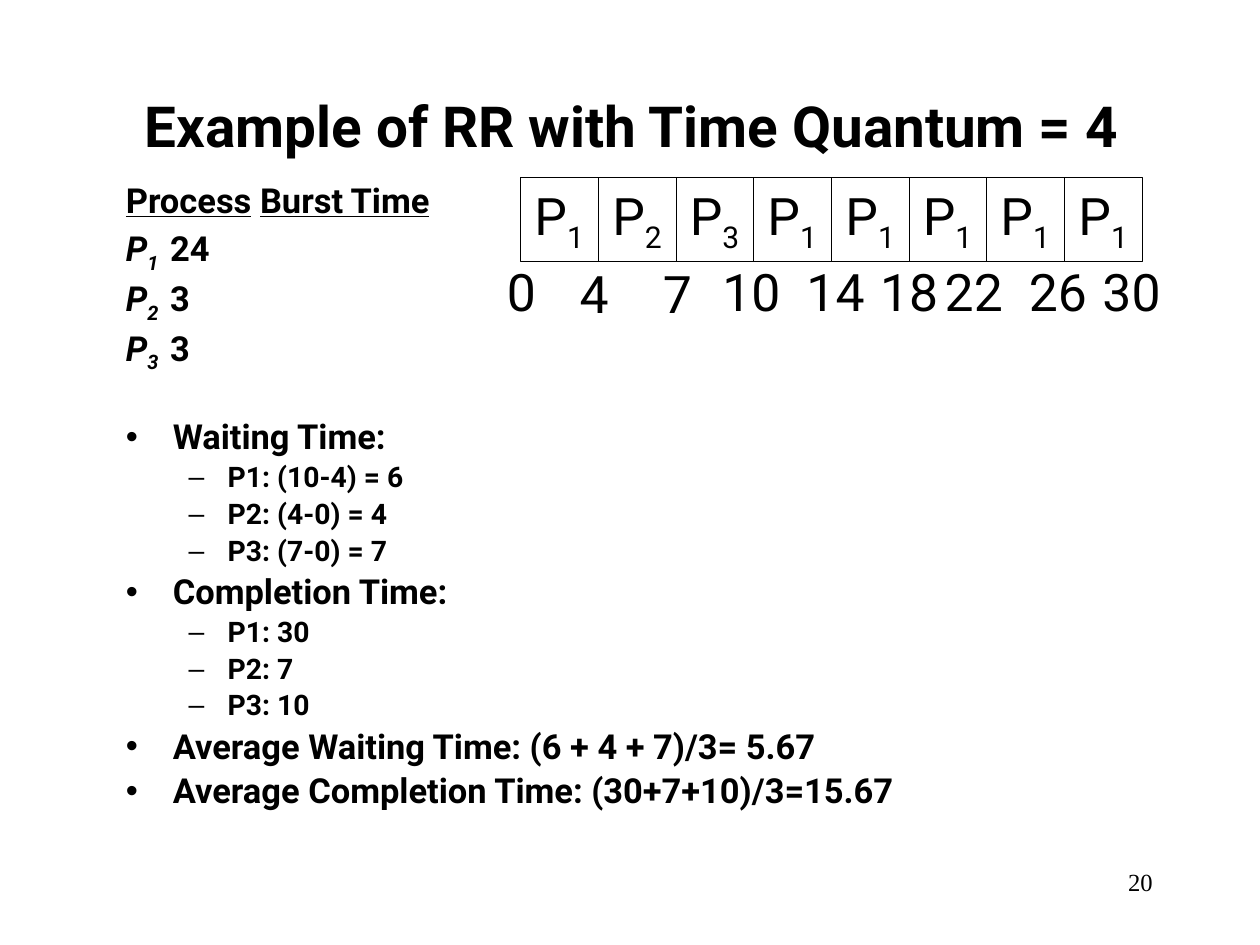
from dataclasses import dataclass

from lxml.etree import SubElement
from pptx import Presentation
from pptx.dml.color import RGBColor
from pptx.enum.shapes import MSO_SHAPE
from pptx.enum.text import MSO_ANCHOR as Anchor, MSO_AUTO_SIZE as AutoSize, PP_ALIGN as Align
from pptx.oxml.ns import qn
from pptx.util import Pt

PX = 9144


@dataclass(frozen=True)
class Theme:
    ink: RGBColor = RGBColor(0, 0, 0)
    paper: RGBColor = RGBColor(255, 255, 255)
    font: str = "Roboto"
    number_font: str = "Times New Roman"
    title_size: int = 46
    body_size: int = 28
    detail_size: int = 23
    chart_size: int = 42
    number_size: int = 20


THEME = Theme()
BURST_TIMES = [("1", "24"), ("2", "3"), ("3", "3")]
RESULTS = [
    (0, "Waiting Time:"),
    (1, "P1: (10-4) = 6"),
    (1, "P2: (4-0) = 4"),
    (1, "P3: (7-0) = 7"),
    (0, "Completion Time:"),
    (1, "P1: 30"),
    (1, "P2: 7"),
    (1, "P3: 10"),
    (0, "Average Waiting Time: (6 + 4 + 7)/3= 5.67"),
    (0, "Average Completion Time: (30+7+10)/3=15.67"),
]
LEVELS = [(53, -53, THEME.body_size, 6), (115, -44, THEME.detail_size, 5)]
FIRST_RESULT_GAP = 41
BURST_COLUMN = 153
SCHEDULE = "12311111"
TIME_MARKS = [
    ("0", 588, 0), ("4", 670, 2), ("7", 764, 2), ("10", 848, 0), ("14", 943, 0),
    ("18", 1026, 0), ("22", 1099, 0), ("26", 1194, 0), ("30", 1277, 0),
]


def place(shape, box):
    shape.left, shape.top, shape.width, shape.height = [length * PX for length in box]


def set_frame(frame, insets=(14, 7, 14, 7), anchor=Anchor.TOP, wrap=True):
    frame.auto_size = AutoSize.NONE
    frame.word_wrap = wrap
    frame.vertical_anchor = anchor
    frame.margin_left, frame.margin_top, frame.margin_right, frame.margin_bottom = [
        inset * PX for inset in insets
    ]


def style(run, size, bold=False, italic=False, underline=False, subscript=False, font=THEME.font):
    run.font.name = font
    run.font.size = Pt(size)
    run.font.bold = bold
    run.font.italic = italic
    run.font.underline = underline
    run.font.color.rgb = THEME.ink
    if subscript:
        run._r.get_or_add_rPr().set("baseline", "-25000")


def add_run(paragraph, text, size, **look):
    run = paragraph.add_run()
    run.text = text
    style(run, size, **look)


def set_text(paragraph, text, size, align, **look):
    paragraph.text = text
    paragraph.alignment = align
    for run in paragraph.runs:
        style(run, size, **look)


def set_spacing(paragraph, before, left, hanging):
    paragraph.line_spacing = 0.9
    paragraph.space_before = Pt(before)
    properties = paragraph._p.get_or_add_pPr()
    properties.set("marL", str(left * PX))
    properties.set("indent", str(hanging * PX))
    return properties


def add_title(slide, box):
    title = slide.shapes.title
    place(title, box)
    set_frame(title.text_frame, anchor=Anchor.MIDDLE)
    set_text(title.text_frame.paragraphs[0], "Example of RR with Time Quantum = 4",
             THEME.title_size, Align.CENTER, bold=True)


def set_burst_row(paragraph):
    properties = set_spacing(paragraph, LEVELS[0][3], 0, 0)
    SubElement(properties, qn("a:buNone"))
    tabs = SubElement(properties, qn("a:tabLst"))
    SubElement(tabs, qn("a:tab"), pos=str(BURST_COLUMN * PX), algn="l")


def add_body(slide, box):
    body = slide.placeholders[1]
    place(body, box)
    frame = body.text_frame
    set_frame(frame)
    size = THEME.body_size

    header = frame.paragraphs[0]
    set_burst_row(header)
    for text, underline in [("Process", True), (" ", False), ("Burst Time", True)]:
        add_run(header, text, size, bold=True, underline=underline)

    for process, burst in BURST_TIMES:
        row = frame.add_paragraph()
        set_burst_row(row)
        add_run(row, "P", size, bold=True, italic=True)
        add_run(row, process, size, bold=True, italic=True, subscript=True)
        add_run(row, "\t" + burst, size, bold=True)

    for index, (level, text) in enumerate(RESULTS):
        left, hanging, text_size, gap = LEVELS[level]
        result = frame.add_paragraph()
        result.level = level
        set_text(result, text, text_size, Align.LEFT, bold=True)
        set_spacing(result, gap if index else FIRST_RESULT_GAP, left, hanging)


def add_schedule(slide, box):
    left, top, width, height = box
    cells = slide.shapes.add_group_shape()
    edges = [left + round(width * step / len(SCHEDULE)) for step in range(len(SCHEDULE) + 1)]
    for process, start, end in zip(SCHEDULE, edges, edges[1:]):
        cell = cells.shapes.add_shape(MSO_SHAPE.RECTANGLE, 0, 0, PX, PX)
        place(cell, (start, top, end - start, height))
        cell.shadow.inherit = False
        cell.fill.solid()
        cell.fill.fore_color.rgb = THEME.paper
        cell.line.color.rgb = THEME.ink
        cell.line.width = Pt(0.75)
        set_frame(cell.text_frame, (10, 5, 10, 5), Anchor.MIDDLE, False)
        paragraph = cell.text_frame.paragraphs[0]
        paragraph.alignment = Align.CENTER
        add_run(paragraph, "P", THEME.chart_size)
        add_run(paragraph, process, THEME.chart_size, subscript=True)


def add_time_marks(slide, box):
    left, top, width, height = box
    for time, center, drop in TIME_MARKS:
        mark_width = 20 + 33 * len(time)
        mark = slide.shapes.add_textbox(0, 0, PX, PX)
        place(mark, (center - mark_width // 2, top + drop, mark_width, height))
        set_frame(mark.text_frame, (10, 10, 10, 0), Anchor.MIDDLE, False)
        set_text(mark.text_frame.paragraphs[0], time, THEME.chart_size, Align.CENTER)


def add_slide_number(slide, box):
    number = slide.shapes.add_textbox(0, 0, PX, PX)
    place(number, box)
    set_frame(number.text_frame)
    set_text(number.text_frame.paragraphs[0], "20", THEME.number_size, Align.RIGHT,
             font=THEME.number_font)


def main():
    presentation = Presentation()
    presentation.slide_width = 1422 * PX
    presentation.slide_height = 1067 * PX
    slide = presentation.slides.add_slide(presentation.slide_layouts[1])
    add_title(slide, (86, 75, 1253, 131))
    add_body(slide, (128, 200, 1143, 697))
    add_schedule(slide, (587, 200, 702, 95))
    add_time_marks(slide, (561, 283, 759, 81))
    add_slide_number(slide, (1019, 972, 296, 71))
    presentation.save("out.pptx")


if __name__ == "__main__":
    main()
